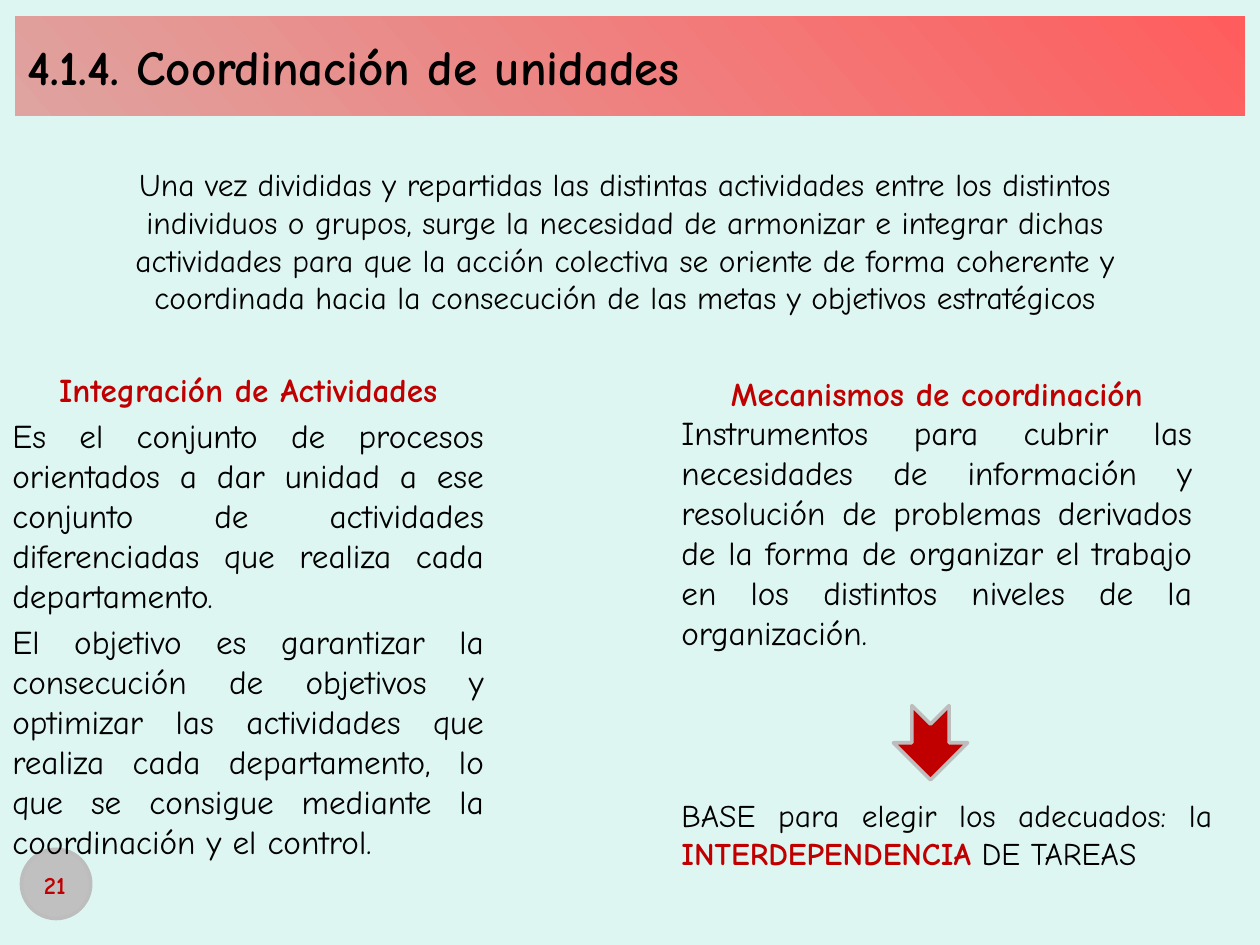
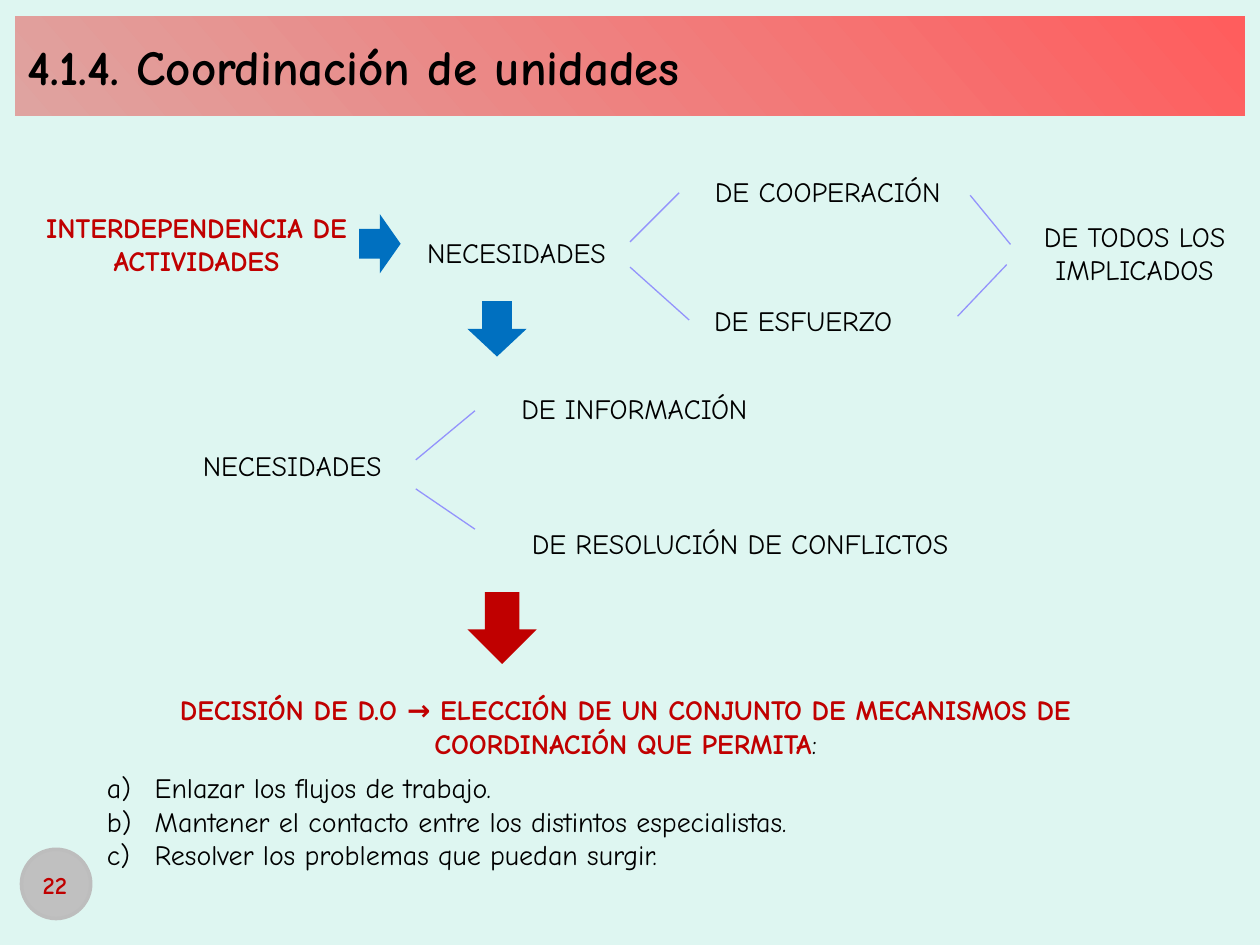
from lxml.etree import SubElement
from pptx import Presentation
from pptx.dml.color import RGBColor
from pptx.enum.shapes import MSO_CONNECTOR, MSO_SHAPE
from pptx.enum.text import MSO_ANCHOR, PP_ALIGN
from pptx.oxml.ns import qn
from pptx.util import Inches, Pt

COLUMNS, ROWS = 100, 75
FONT = "Comic Neue"
BACKGROUND = "DEF6F1"
BLACK = "000000"
RED = "C00000"
BLUE = "0070C0"
BRANCH = "9393FC"
BORDER = "BDBDBD"
BADGE = "C0C0C0"
BAND_START, BAND_END = "FF5D5D", "DFA3A0"
CENTER, JUSTIFY = PP_ALIGN.CENTER, PP_ALIGN.JUSTIFY


def color(value):
    return RGBColor.from_string(value)


def write(paragraph, text, size=16, ink=BLACK, bold=False):
    run = paragraph.add_run()
    run.text = text
    run.font.name = FONT
    run.font.size = Pt(size)
    run.font.bold = bold
    run.font.color.rgb = color(ink)


class Deck:
    def __init__(self):
        self.presentation = Presentation()
        self.presentation.slide_width = Inches(10)
        self.presentation.slide_height = Inches(7.5)
        self.column = self.presentation.slide_width / COLUMNS
        self.row = self.presentation.slide_height / ROWS
        self.slide = None

    def place(self, left, top, width, height):
        return (round(left * self.column), round(top * self.row),
                round(width * self.column), round(height * self.row))

    def add_slide(self, title, number):
        self.slide = self.presentation.slides.add_slide(self.presentation.slide_layouts[6])
        self.slide.background.fill.solid()
        self.slide.background.fill.fore_color.rgb = color(BACKGROUND)
        self.shape(MSO_SHAPE.OVAL, (1.7, 67.4, 5.5, 5.5), BADGE, border=BORDER)
        self.band(title)
        page = self.text((0.4, 68.2, 7.9, 4), str(number), size=14, ink=RED, bold=True)
        page.vertical_anchor = MSO_ANCHOR.MIDDLE

    def band(self, title):
        band = self.shape(MSO_SHAPE.RECTANGLE, (1.2, 1.3, 97.6, 7.9), BAND_START)
        band.fill.gradient()
        band.fill.gradient_angle = 221
        for stop, value, position in zip(band.fill.gradient_stops, (BAND_START, BAND_END), (0, 1)):
            stop.color.rgb = color(value)
            stop.position = position
        band.text_frame.vertical_anchor = MSO_ANCHOR.MIDDLE
        self.paragraph(band.text_frame, title, align=JUSTIFY, size=28, bold=True)

    def shape(self, kind, box, fill, border=None, rotation=0):
        shape = self.slide.shapes.add_shape(kind, *self.place(*box))
        shape.shadow.inherit = False
        shape.rotation = rotation
        shape.fill.solid()
        shape.fill.fore_color.rgb = color(fill)
        if border:
            shape.line.color.rgb = color(border)
            shape.line.width = Pt(2)
        else:
            shape.line.fill.background()
        return shape

    def text(self, box, text=None, **style):
        frame = self.slide.shapes.add_textbox(*self.place(*box)).text_frame
        frame.word_wrap = True
        if text:
            self.paragraph(frame, text, **style)
        return frame

    def paragraph(self, frame, text, align=CENTER, before=0, after=0, numbered=False, **style):
        paragraph = frame.paragraphs[0]
        if paragraph.runs:
            paragraph = frame.add_paragraph()
        paragraph.alignment = align
        if before:
            paragraph.space_before = Pt(before)
        if after:
            paragraph.space_after = Pt(after)
        if numbered:
            properties = paragraph._p.get_or_add_pPr()
            indent = Inches(0.38)
            properties.set("marL", str(indent))
            properties.set("indent", str(-indent))
            SubElement(properties, qn("a:buFont"), typeface=FONT)
            SubElement(properties, qn("a:buAutoNum"), type="alphaLcParenR")
        write(paragraph, text, **style)
        return paragraph

    def branch(self, start_left, start_top, end_left, end_top):
        line = self.slide.shapes.add_connector(
            MSO_CONNECTOR.STRAIGHT, *self.place(start_left, start_top, end_left, end_top))
        line.line.color.rgb = color(BRANCH)
        line.line.width = Pt(0.75)
        SubElement(line._element.spPr, qn("a:effectLst"))


def build_integration(deck):
    deck.text((5.9, 12.6, 87.4, 16.2),
              "Una vez divididas y repartidas las distintas actividades entre los distintos "
              "individuos o grupos, surge la necesidad de armonizar e integrar dichas actividades "
              "para que la acción colectiva se oriente de forma coherente y coordinada hacia la "
              "consecución de las metas y objetivos estratégicos", size=18)
    integration = deck.text((0, 28.8, 39.4, 43.3), "Integración de Actividades",
                            size=19, ink=RED, bold=True)
    for text in (
        "Es el conjunto de procesos orientados a dar unidad a ese conjunto de actividades "
        "diferenciadas que realiza cada departamento.",
        "El objetivo es garantizar la consecución de objetivos y optimizar las actividades que "
        "realiza cada departamento, lo que se consigue mediante la coordinación y el control.",
    ):
        deck.paragraph(integration, text, align=JUSTIFY, before=3.8, size=19)
    mechanisms = deck.text((53.1, 29.1, 42.5, 26.6), "Mecanismos de coordinación",
                           size=19, ink=RED, bold=True)
    deck.paragraph(mechanisms,
                   "Instrumentos para cubrir las necesidades de información y resolución de "
                   "problemas derivados de la forma de organizar el trabajo en los distintos "
                   "niveles de la organización.", align=JUSTIFY, size=19)
    deck.shape(MSO_SHAPE.NOTCHED_RIGHT_ARROW, (70.9, 56, 5.9, 5.9), RED,
               border=BORDER, rotation=90)
    basis = deck.text((53.1, 62.7, 44.1, 7.1))
    sentence = deck.paragraph(basis, "BASE para elegir los adecuados: la ", align=JUSTIFY, size=18)
    write(sentence, "INTERDEPENDENCIA", size=18, ink=RED, bold=True)
    write(sentence, " DE TAREAS", size=18)


def build_interdependence(deck):
    deck.text((2.6, 16.2, 26, 6.4), "INTERDEPENDENCIA DE ACTIVIDADES", ink=RED, bold=True)
    for box, need in (
        ((28, 18.2, 26, 3.7), "NECESIDADES"),
        ((53.9, 13.4, 23.6, 3.7), "DE COOPERACIÓN"),
        ((54.7, 23.6, 18.1, 3.7), "DE ESFUERZO"),
        ((80.3, 16.9, 19.5, 6.4), "DE TODOS LOS IMPLICADOS"),
        ((10.2, 35.1, 26, 3.7), "NECESIDADES"),
        ((38.5, 30.6, 23.7, 3.7), "DE INFORMACIÓN"),
        ((38.5, 41.3, 40.5, 3.7), "DE RESOLUCIÓN DE CONFLICTOS"),
    ):
        deck.text(box, need)
    for ends in (
        (50, 19.2, 53.9, 15.3), (50, 21.2, 54.7, 25.4),
        (77, 15.5, 80.2, 19.4), (76, 25.1, 79.9, 21),
        (33, 36.5, 37.7, 32.6), (33, 38.8, 37.7, 42),
    ):
        deck.branch(*ends)
    deck.shape(MSO_SHAPE.RIGHT_ARROW, (28.5, 17, 3.3, 4.7), BLUE)
    deck.shape(MSO_SHAPE.DOWN_ARROW, (37.1, 23.9, 4.7, 4.4), BLUE)
    deck.shape(MSO_SHAPE.DOWN_ARROW, (37.1, 47, 5.5, 5.7), RED)
    decision = deck.text((7.5, 54.5, 84.3, 15.3))
    heading = deck.paragraph(decision,
                             "DECISIÓN DE D.O → ELECCIÓN DE UN CONJUNTO DE MECANISMOS DE "
                             "COORDINACIÓN QUE PERMITA", after=6, ink=RED, bold=True)
    write(heading, ":")
    for goal in (
        "Enlazar los flujos de trabajo.",
        "Mantener el contacto entre los distintos especialistas.",
        "Resolver los problemas que puedan surgir.",
    ):
        deck.paragraph(decision, goal, align=JUSTIFY, numbered=True)


def main():
    deck = Deck()
    for number, build in enumerate((build_integration, build_interdependence), start=21):
        deck.add_slide("4.1.4. Coordinación de unidades", number)
        build(deck)
    deck.presentation.save("out.pptx")


if __name__ == "__main__":
    main()
